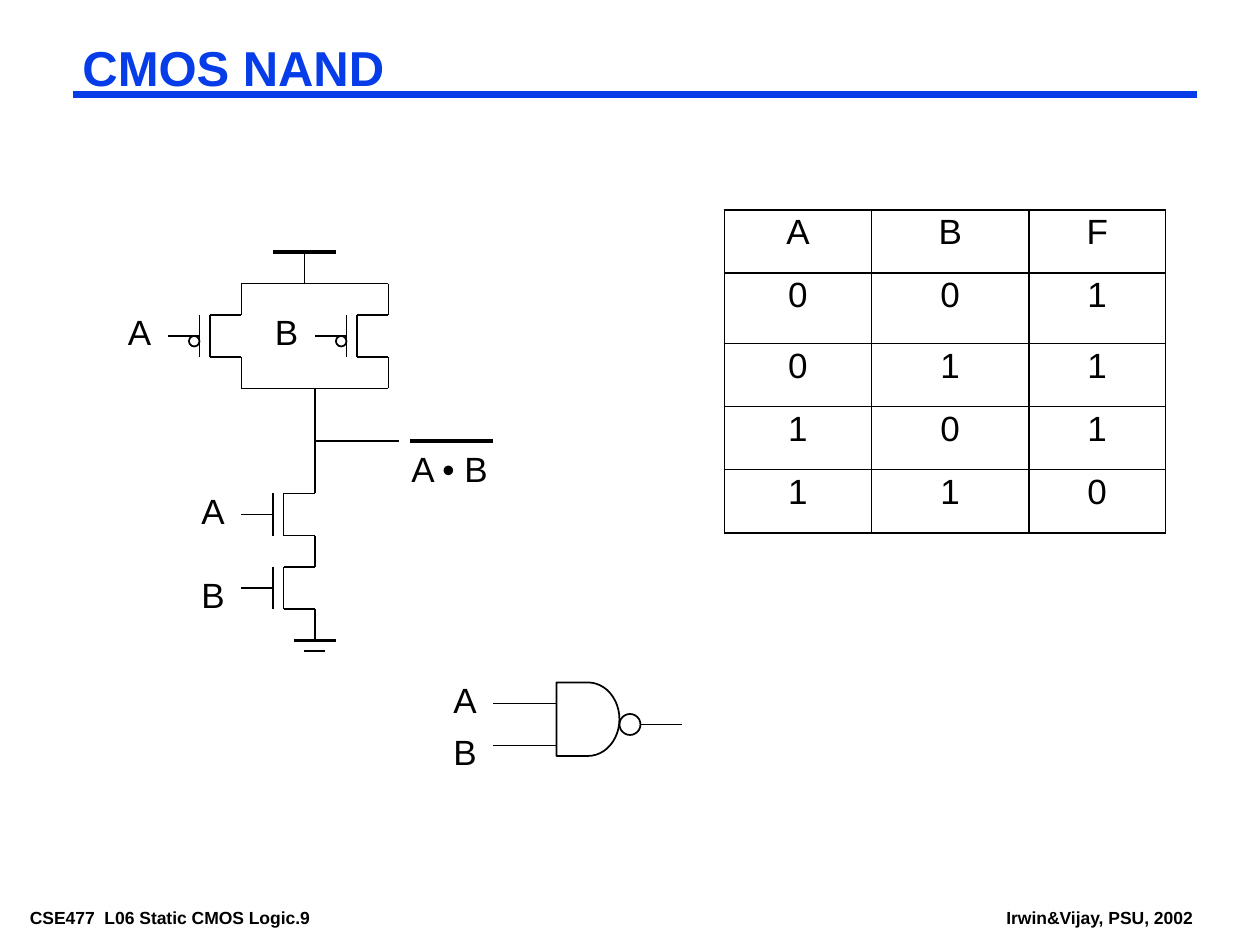
from lxml import etree
from pptx import Presentation
from pptx import util as u
from pptx.dml.color import RGBColor
from pptx.enum import shapes, text
from pptx.oxml import ns

COLORS = {"ink": "000000", "blue": "063DE8"}
GRID = 2.54 / 12  # the drawing grid in centimetres
THIN, THICK = 1, 2.25


def write_text(frame, words, size=20, bold=False, color="ink", align=None,
               spacing=None, insets=(0.25, 0.13)):
    frame.margin_left = frame.margin_right = u.Cm(insets[0])
    frame.margin_top = frame.margin_bottom = u.Cm(insets[1])
    paragraph = frame.paragraphs[0]
    paragraph.text = words
    paragraph.alignment = align
    paragraph.line_spacing = spacing
    paragraph.space_before = u.Pt(0)
    font = paragraph.runs[0].font
    font.name, font.size, font.bold = "Arial", u.Pt(size), bold
    font.color.rgb = RGBColor.from_string(COLORS[color])


def draw_line(parent, points, width=THIN, color="ink"):
    """Draw a straight line; points are x1, y1, x2, y2 in grid units."""
    line = parent.add_connector(shapes.MSO_CONNECTOR.STRAIGHT,
                                *(u.Cm(GRID * value) for value in points))
    line.line.width = u.Pt(width)
    line.line.color.rgb = RGBColor.from_string(COLORS[color])
    etree.SubElement(line._element.spPr, ns.qn("a:effectLst"))


presentation = Presentation()
presentation.slide_width, presentation.slide_height = u.Cm(25.4), u.Cm(19.05)
slide = presentation.slides.add_slide(presentation.slide_layouts[5])
canvas = slide.shapes

# Title and its rule
draw_line(canvas, (7, 9, 114, 9), 4.5, "blue")
title = canvas.title
title.left, title.top = u.Cm(GRID * 7), u.Cm(GRID * 4)
title.width, title.height = u.Cm(GRID * 107), u.Cm(1.17)
title.text_frame.vertical_anchor = text.MSO_ANCHOR.TOP
write_text(title.text_frame, "CMOS NAND", size=28, bold=True, color="blue",
           align=text.PP_ALIGN.LEFT, spacing=0.87, insets=(0.18, 0.08))

# Footers and labels: text, left, top (grid), width, height (cm), format
footer = {"size": 10, "bold": True, "insets": (0.18, 0.08)}
labels = [
    ("CSE477  L06 Static CMOS Logic.9", 2, 86, 7.49, 0.56, footer),
    ("Irwin&Vijay, PSU, 2002", 95, 86, 4.14, 0.56, footer),
    ("A • B", 38, 42, 2.08, 1.11, {}),
]
inputs = [("A", 11, 29), ("B", 25, 29), ("A", 18, 46), ("B", 18, 54),
          ("A", 42, 64), ("B", 42, 69)]
labels += [(*place, 0.97, 1.11, {}) for place in inputs]
for words, left, top, width, height, style in labels:
    box = canvas.add_textbox(u.Cm(GRID * left), u.Cm(GRID * top),
                             u.Cm(width), u.Cm(height))
    box.text_frame.word_wrap = False
    box.text_frame.auto_size = text.MSO_AUTO_SIZE.SHAPE_TO_FIT_TEXT
    write_text(box.text_frame, words, **style)

# Transistors, drawn from the corner where the channel meets the wire
transistor = [(-3, 0, 0, 0), (-3, 0, -3, 4), (-3, 4, 0, 4),
              (-4, 0, -4, 4), (0, 4, 0, 7), (-7, 2, -4, 2)]
outlines = []
for x, y, is_pmos in [(30, 54, False), (30, 47, False),
                      (37, 30, True), (23, 30, True)]:
    group = canvas.add_group_shape()
    for x1, y1, x2, y2 in transistor + [(0, -3, 0, 0)] * is_pmos:
        draw_line(group.shapes, (x + x1, y + y1, x + x2, y + y2))
    if is_pmos:
        outlines.append((group.shapes, shapes.MSO_SHAPE.OVAL, x - 5, y + 2, 1, 1))

# Wires, supply, ground and the bar over the output
for points in [(30, 47, 30, 37), (30, 42, 38, 42), (23, 37, 37, 37),
               (23, 27, 37, 27), (29, 27, 29, 24), (29, 62, 31, 62),
               (47, 67, 53, 67), (47, 71, 53, 71), (61, 69, 65, 69)]:
    draw_line(canvas, points)
for points in [(26, 24, 32, 24), (28, 61, 32, 61), (39, 42, 47, 42)]:
    draw_line(canvas, points, THICK)

# Gate symbol and inversion bubbles
outlines += [(canvas, shapes.MSO_SHAPE.FLOWCHART_DELAY, 53, 65, 6, 7),
             (canvas, shapes.MSO_SHAPE.OVAL, 59, 68, 2, 2)]
for parent, kind, *place in outlines:
    shape = parent.add_shape(kind, *(u.Cm(GRID * value) for value in place))
    shape.shadow.inherit = False
    shape.fill.background()
    shape.line.width = u.Pt(THIN)
    shape.line.color.rgb = RGBColor.from_string(COLORS["ink"])

# Truth table
truth = ["ABF", "001", "011", "101", "110"]
columns, rows = [14, 15, 13], [6, 6.75, 6, 6, 6]
vertical = [1.08, 0.45, 1.08, 1.08]
horizontal = [1.08, 1.08, 0.45, 0.45, 0.45, 1.08]
table = canvas.add_table(len(rows), len(columns), u.Cm(GRID * 69), u.Cm(GRID * 20),
                         u.Cm(GRID * sum(columns)), u.Cm(GRID * sum(rows))).table
table.first_row = table.horz_banding = False
for column, width in zip(table.columns, columns):
    column.width = u.Cm(GRID * width)
for r, height in enumerate(rows):
    table.rows[r].height = u.Cm(GRID * height)
    for c, value in enumerate(truth[r]):
        cell = table.cell(r, c)
        write_text(cell.text_frame, value, align=text.PP_ALIGN.CENTER, spacing=0.9)
        properties = cell._tc.get_or_add_tcPr()
        borders = {"lnL": vertical[c], "lnR": vertical[c + 1],
                   "lnT": horizontal[r], "lnB": horizontal[r + 1]}
        for side, width in borders.items():
            border = etree.SubElement(properties, ns.qn(f"a:{side}"),
                                      w=str(u.Pt(width)))
            fill = etree.SubElement(border, ns.qn("a:solidFill"))
            etree.SubElement(fill, ns.qn("a:srgbClr"), val=COLORS["ink"])
        cell.fill.background()

presentation.save("out.pptx")
